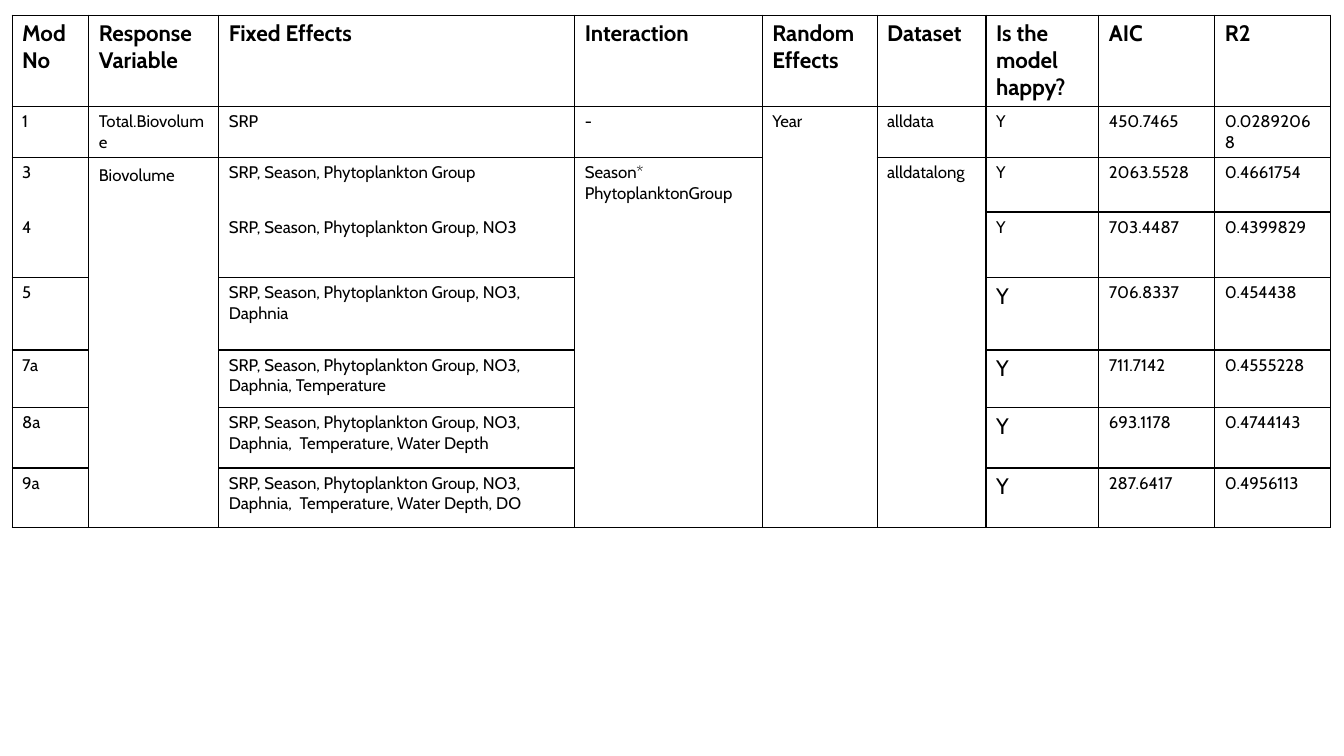
"""Build a slide with a table comparing phytoplankton biovolume models."""
from lxml import etree
from pptx import Presentation, util as u
from pptx.dml.color import RGBColor
from pptx.oxml import ns

BLACK = RGBColor(0, 0, 0)
WHITE = RGBColor(255, 255, 255)
HEADER_FORMAT = {"name": "Cabin", "size": u.Pt(16), "bold": True}
BODY_FORMAT = {"name": "Cabin", "size": u.Pt(12), "bold": False}
LARGE_FORMAT = {**BODY_FORMAT, "size": u.Pt(16)}
SPACER_FORMAT = {**BODY_FORMAT, "size": u.Pt(14)}

TABLE_LEFT, TABLE_TOP = 0.12, 0.15
COLUMN_WIDTHS = [0.76, 1.29, 3.53, 1.86, 1.14, 1.08, 1.12, 1.15, 1.15]
ROW_HEIGHTS = [0.79, 0.46, 0.54, 0, 0.65, 0.72, 0.57, 0.6, 0.59]
HEADERS = ["Mod\vNo", "Response Variable", "Fixed Effects", "Interaction",
           "Random Effects", "Dataset", "Is the model happy?", "AIC", "R2"]
BASE = "SRP, Season, Phytoplankton Group"
MODELS = [
    (1, "1", "SRP", 1, "450.7465", "0.02892068"),
    (2, "3", BASE, 2, "2063.5528", "0.4661754"),
    (3, "4", f"{BASE}, NO3", 4, "703.4487", "0.4399829"),
    (5, "5", f"{BASE}, NO3, Daphnia", 5, "706.8337", "0.454438"),
    (6, "7a", f"{BASE}, NO3, Daphnia, Temperature", 6, "711.7142", "0.4555228"),
    (7, "8a", f"{BASE}, NO3, Daphnia,  Temperature, Water Depth", 7, "693.1178", "0.4744143"),
    (8, "9a", f"{BASE}, NO3, Daphnia,  Temperature, Water Depth, DO", 8, "287.6417", "0.4956113"),
]
SHARED_CELLS = {
    (1, 1): "Total.Biovolume", (1, 3): "-", (1, 4): "Year", (1, 5): "alldata",
    (2, 1): "Biovolume", (2, 3): "Season*\nPhytoplanktonGroup", (2, 5): "alldatalong",
}
ROW_SPANS = {(1, 4): 8, (2, 1): 7, (2, 3): 7, (2, 5): 7, (2, 6): 2, (2, 7): 2,
             (2, 8): 2, (3, 0): 2, (3, 2): 2}
OPEN_EDGES = {(2, 0): "lnB", (2, 2): "lnB", (3, 0): "lnT", (3, 2): "lnT"}
FIRST_LARGE_ROW = 5


def format_run(run, formats):
    """Apply a dict of font values and black colour to a run."""
    for name, value in formats.items():
        setattr(run.font, name, value)
    run.font.color.rgb = BLACK


def write_cell(cell, content, formats):
    """Write formatted text into a cell."""
    cell.text = content
    for paragraph in cell.text_frame.paragraphs:
        for run in paragraph.runs:
            format_run(run, formats)


def style_cell(cell, open_edge):
    """Give a cell one-point black borders and a white fill."""
    properties = cell._tc.get_or_add_tcPr()
    for edge in ("lnL", "lnR", "lnT", "lnB"):
        line = etree.SubElement(properties, ns.qn(f"a:{edge}"), w=str(u.Pt(1)))
        if edge == open_edge:
            etree.SubElement(line, ns.qn("a:noFill"))
        else:
            fill = etree.SubElement(line, ns.qn("a:solidFill"))
            etree.SubElement(fill, ns.qn("a:srgbClr"), val=str(BLACK))
    cell.fill.solid()
    cell.fill.fore_color.rgb = WHITE


def add_model_table(slide):
    """Add the empty table with its grid, merged cells and borders."""
    lengths = (TABLE_LEFT, TABLE_TOP, sum(COLUMN_WIDTHS), sum(ROW_HEIGHTS))
    shape = slide.shapes.add_table(len(ROW_HEIGHTS), len(COLUMN_WIDTHS), *map(u.Inches, lengths))
    table = shape.table
    table.first_row = table.horz_banding = False
    for column, width in zip(table.columns, COLUMN_WIDTHS):
        column.width = u.Inches(width)
    for row, height in zip(table.rows, ROW_HEIGHTS):
        row.height = u.Inches(height)
    for (row, column), span in ROW_SPANS.items():
        table.cell(row, column).merge(table.cell(row + span - 1, column))
    for row in range(len(ROW_HEIGHTS)):
        for column in range(len(COLUMN_WIDTHS)):
            style_cell(table.cell(row, column), OPEN_EDGES.get((row, column)))
    return table


def fill_model_table(table):
    """Write the headers, shared cells and model results."""
    for column, header in enumerate(HEADERS):
        write_cell(table.cell(0, column), header, HEADER_FORMAT)
    for position, content in SHARED_CELLS.items():
        write_cell(table.cell(*position), content, BODY_FORMAT)
    spacer = table.cell(2, 1).text_frame.paragraphs[0].add_run()
    spacer.text = " "
    format_run(spacer, SPACER_FORMAT)
    for row, number, effects, result_row, aic, r2 in MODELS:
        for column, content in ((0, number), (2, effects)):
            write_cell(table.cell(row, column), content, BODY_FORMAT)
        happy_format = LARGE_FORMAT if result_row >= FIRST_LARGE_ROW else BODY_FORMAT
        write_cell(table.cell(result_row, 6), "Y", happy_format)
        for column, content in ((7, aic), (8, r2)):
            write_cell(table.cell(result_row, column), content, BODY_FORMAT)


def main():
    """Create and save the presentation."""
    presentation = Presentation()
    presentation.slide_width, presentation.slide_height = u.Inches(13.33), u.Inches(7.5)
    slide = presentation.slides.add_slide(presentation.slide_layouts[6])
    fill_model_table(add_model_table(slide))
    presentation.save("out.pptx")


if __name__ == "__main__":
    main()
